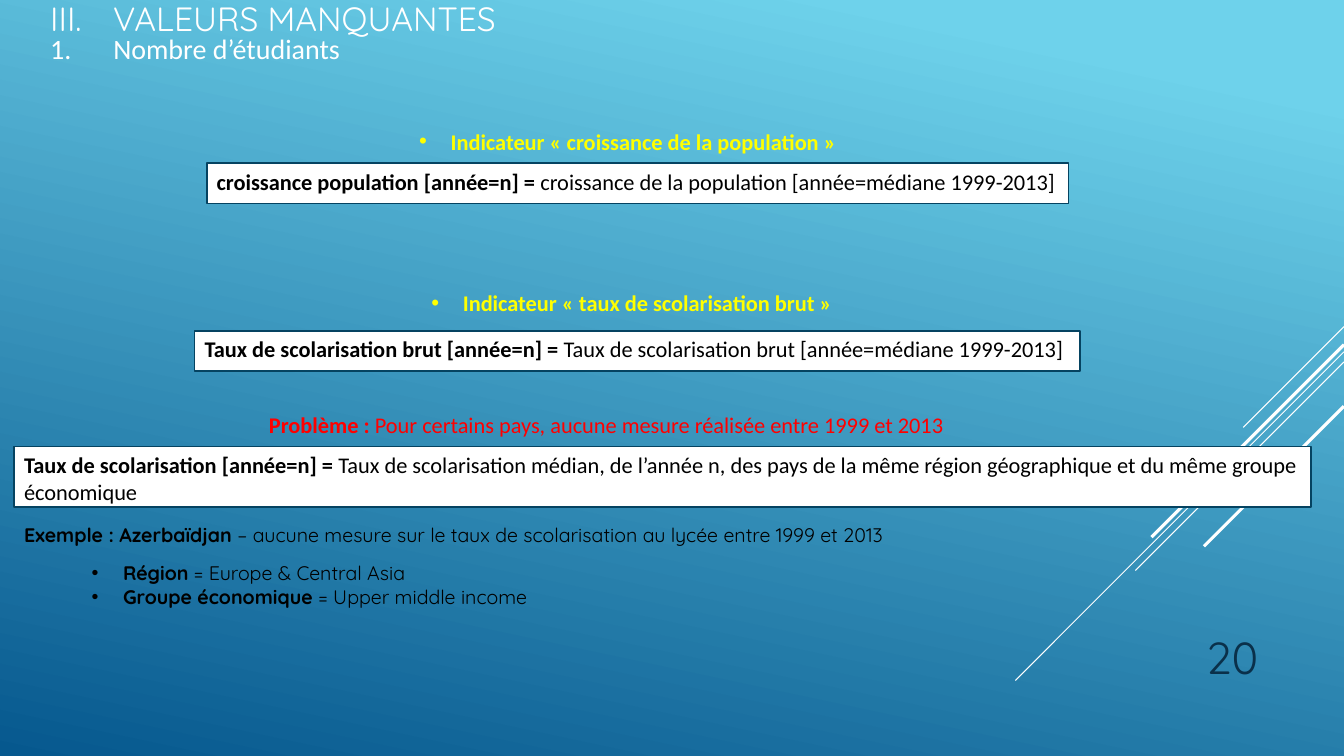
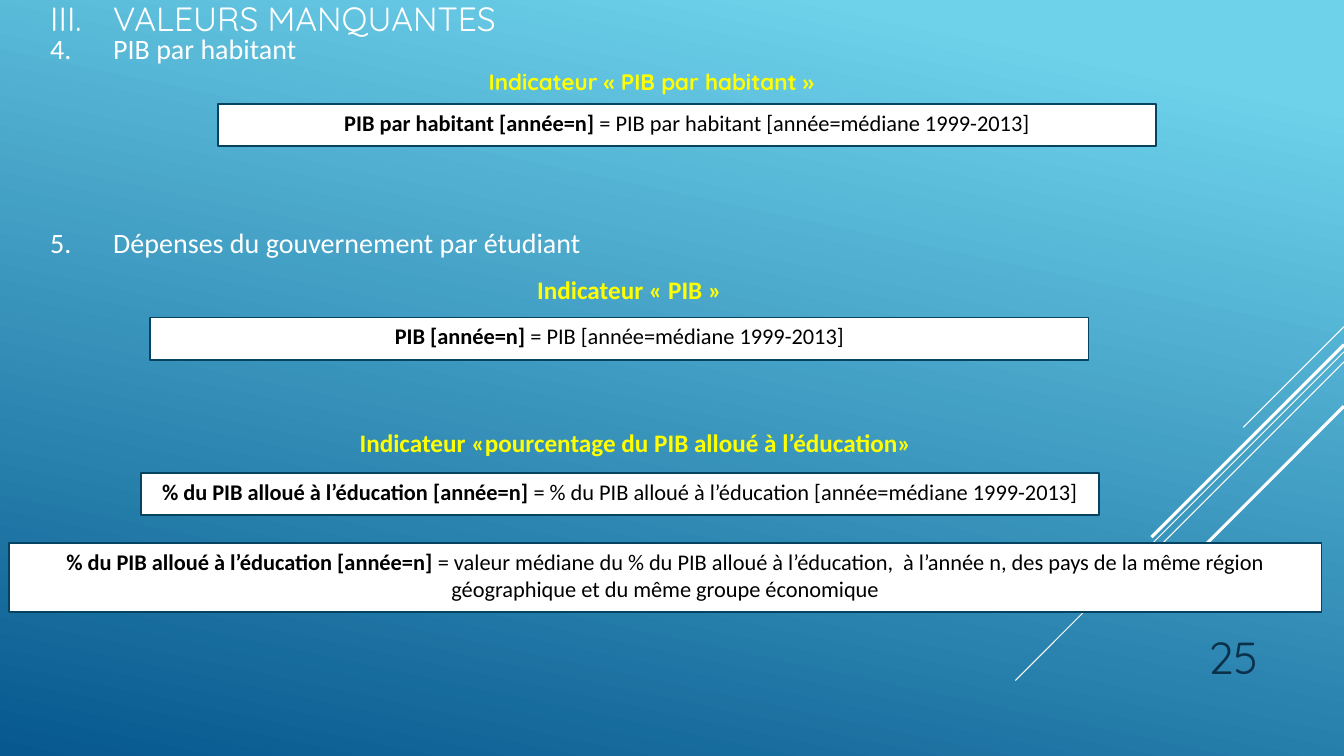
from pptx import Presentation
from pptx.dml.color import RGBColor
from pptx.enum.shapes import MSO_CONNECTOR, MSO_SHAPE
from pptx.enum.text import MSO_ANCHOR, PP_ALIGN
from pptx.oxml.ns import qn
from pptx.util import Pt
from lxml.etree import SubElement

WHITE, BLACK, YELLOW, RED = "FFFFFF", "000000", "FFFF00", "FF0000"
SKY, SEA, EDGE, NAVY = "6ED2EB", "06588E", "054361", "0A304A"
BODY, HEAD = "Calibri", "Quicksand"
WIDE, HIGH = 960, 540
RAYS = [(233.3, 72, 0.75), (251.3, 234.7, 0.75), (258.5, 149, 0.75),
        (246.2, 137.5, 2.25), (290.2, 100, 2.25)]


def paint(color, code):
    """Set a colour from a hex string."""
    color.rgb = RGBColor.from_string(code)


def mark(par, indent, kind, **attrs):
    """Give a paragraph a hanging bullet or number."""
    props = par._p.get_or_add_pPr()
    props.set("marL", str(Pt(indent)))
    props.set("indent", str(-Pt(indent)))
    if kind == "buChar":
        SubElement(props, qn("a:buFont")).set("typeface", "Arial")
    node = SubElement(props, qn(f"a:{kind}"))
    for key, value in attrs.items():
        node.set(key, value)


def write(par, bold, plain, size, color, face, align=PP_ALIGN.LEFT):
    """Fill a paragraph with a bold part and a plain part."""
    par.alignment = align
    font = par.font
    font.size, font.name = Pt(size), face
    paint(font.color, color)
    if bold and plain:
        run = par.add_run()
        run.text, run.font.bold = bold, True
    else:
        font.bold = bool(bold)
    par.add_run().text = plain or bold


def frame(slide, area, anchor=MSO_ANCHOR.TOP):
    """Add a wrapping text box and return its text frame."""
    text = slide.shapes.add_textbox(*map(Pt, area)).text_frame
    text.word_wrap = True
    text.vertical_anchor = anchor
    return text


def label(slide, area, bold, plain="", size=16, color=YELLOW, face=BODY, dot=False):
    """Add a line of text, with a bullet if asked."""
    par = frame(slide, area).paragraphs[0]
    if dot:
        mark(par, 22.5, "buChar", char="•")
    write(par, bold, plain, size, color, face)


def title(slide, area, text, start, size=20, face=BODY, style="arabicPeriod"):
    """Add a numbered heading."""
    par = frame(slide, area, MSO_ANCHOR.MIDDLE).paragraphs[0]
    mark(par, 45, "buAutoNum", type=style, startAt=str(start))
    write(par, "", text, size, WHITE, face)


def rule(slide, area, bold, plain, align=PP_ALIGN.CENTER):
    """Add a white box that holds a formula."""
    box = slide.shapes.add_shape(MSO_SHAPE.RECTANGLE, *map(Pt, area))
    box.shadow.inherit = False
    box.fill.solid()
    paint(box.fill.fore_color, WHITE)
    paint(box.line.color, EDGE)
    box.line.width = Pt(1.25)
    text = box.text_frame
    text.word_wrap = True
    text.vertical_anchor = MSO_ANCHOR.TOP
    write(text.paragraphs[0], bold, plain, 16, BLACK, BODY, align)


def ray(slide, top, run, width):
    """Draw a diagonal line down from the right edge."""
    line = slide.shapes.add_connector(
        MSO_CONNECTOR.STRAIGHT, Pt(WIDE), Pt(top), Pt(WIDE - run), Pt(top + run))
    paint(line.line.color, WHITE)
    line.line.width = Pt(width)
    SubElement(line._element.spPr, qn("a:effectLst"))


def start(deck, number):
    """Add a slide with the shared backdrop, title and page number."""
    slide = deck.slides.add_slide(deck.slide_layouts[6])
    fill = slide.background.fill
    fill.gradient()
    fill.gradient_angle = 258
    for stop, place, code in zip(fill.gradient_stops, (0.1, 1), (SKY, SEA)):
        stop.position = place
        paint(stop.color, code)
    for top, run, width in RAYS:
        ray(slide, top, run, width)
    title(slide, (28.8, 0, 931, 26), "VALEURS MANQUANTES", 3, 24, HEAD, "romanUcPeriod")
    par = frame(slide, (815.8, 439.2, 90, 52.6), MSO_ANCHOR.BOTTOM).paragraphs[0]
    write(par, "", str(number), 32, NAVY, HEAD, PP_ALIGN.RIGHT)
    return slide


def pupils(deck):
    """Build the slide on the number of students."""
    slide = start(deck, 20)
    title(slide, (28.8, 22.3, 389, 24.5), "Nombre d’étudiants", 1)
    label(slide, (292.3, 87.8, 327, 28.8), "Indicateur « croissance de la population »", dot=True)
    rule(slide, (147.6, 116.6, 615.6, 28.8), "croissance population [année=n] = ",
         "croissance de la population [année=médiane 1999-2013]", PP_ALIGN.LEFT)
    label(slide, (301, 203, 311, 27.4), "Indicateur « taux de scolarisation brut »", dot=True)
    rule(slide, (139, 236.2, 632.2, 28.8), "Taux de scolarisation brut [année=n] = ",
         "Taux de scolarisation brut [année=médiane 1999-2013]", PP_ALIGN.LEFT)
    label(slide, (185, 290.2, 503.3, 28.8), "Problème : ",
          "Pour certains pays, aucune mesure réalisée entre 1999 et 2013", color=RED)
    rule(slide, (10.1, 319, 926.6, 43.2), "Taux de scolarisation [année=n] = ",
         "Taux de scolarisation médian, de l’année n, des pays de la même région "
         "géographique et du même groupe économique", PP_ALIGN.LEFT)
    label(slide, (10.1, 370.1, 669, 24.5), "Exemple : Azerbaïdjan",
          " – aucune mesure sur le taux de scolarisation au lycée entre 1999 et 2013",
          14, BLACK, HEAD)
    text = frame(slide, (58.3, 397.4, 345, 41))
    facts = [("Région", " = Europe & Central Asia"),
             ("Groupe économique ", "= Upper middle income")]
    for i, (bold, plain) in enumerate(facts):
        par = text.add_paragraph() if i else text.paragraphs[0]
        mark(par, 22.5, "buChar", char="•")
        write(par, bold, plain, 14, BLACK, HEAD)


def wealth(deck):
    """Build the slide on GDP and spending."""
    slide = start(deck, 25)
    share = "% du PIB alloué à l’éducation [année=n]"
    title(slide, (28.8, 22.3, 369, 24.5), "PIB par habitant", 4)
    label(slide, (342, 45.4, 254.2, 26.6), "Indicateur « PIB par habitant »", face=HEAD)
    rule(slide, (155.5, 74.2, 670.3, 30.2), "PIB par habitant [année=n]",
         " = PIB par habitant [année=médiane 1999-2013]")
    title(slide, (28.8, 160.6, 437, 24.5), "Dépenses du gouvernement par étudiant", 5)
    label(slide, (376.6, 192.2, 149.8, 26.6), "Indicateur « PIB »", size=18)
    rule(slide, (107.3, 226.8, 670.3, 30.2), "PIB [année=n]",
         " = PIB [année=médiane 1999-2013]")
    label(slide, (249.8, 301.7, 414.7, 26.6),
          "Indicateur «pourcentage du PIB alloué à l’éducation»", size=18)
    rule(slide, (100.8, 337.7, 684, 30.2), share,
         " = % du PIB alloué à l’éducation [année=médiane 1999-2013]")
    rule(slide, (6.5, 388.1, 937.4, 49), share,
         " = valeur médiane du % du PIB alloué à l’éducation,  à l’année n, des pays "
         "de la même région géographique et du même groupe économique")


def main():
    """Build and save the deck."""
    deck = Presentation()
    deck.slide_width, deck.slide_height = Pt(WIDE), Pt(HIGH)
    pupils(deck)
    wealth(deck)
    deck.save("out.pptx")


if __name__ == "__main__":
    main()
